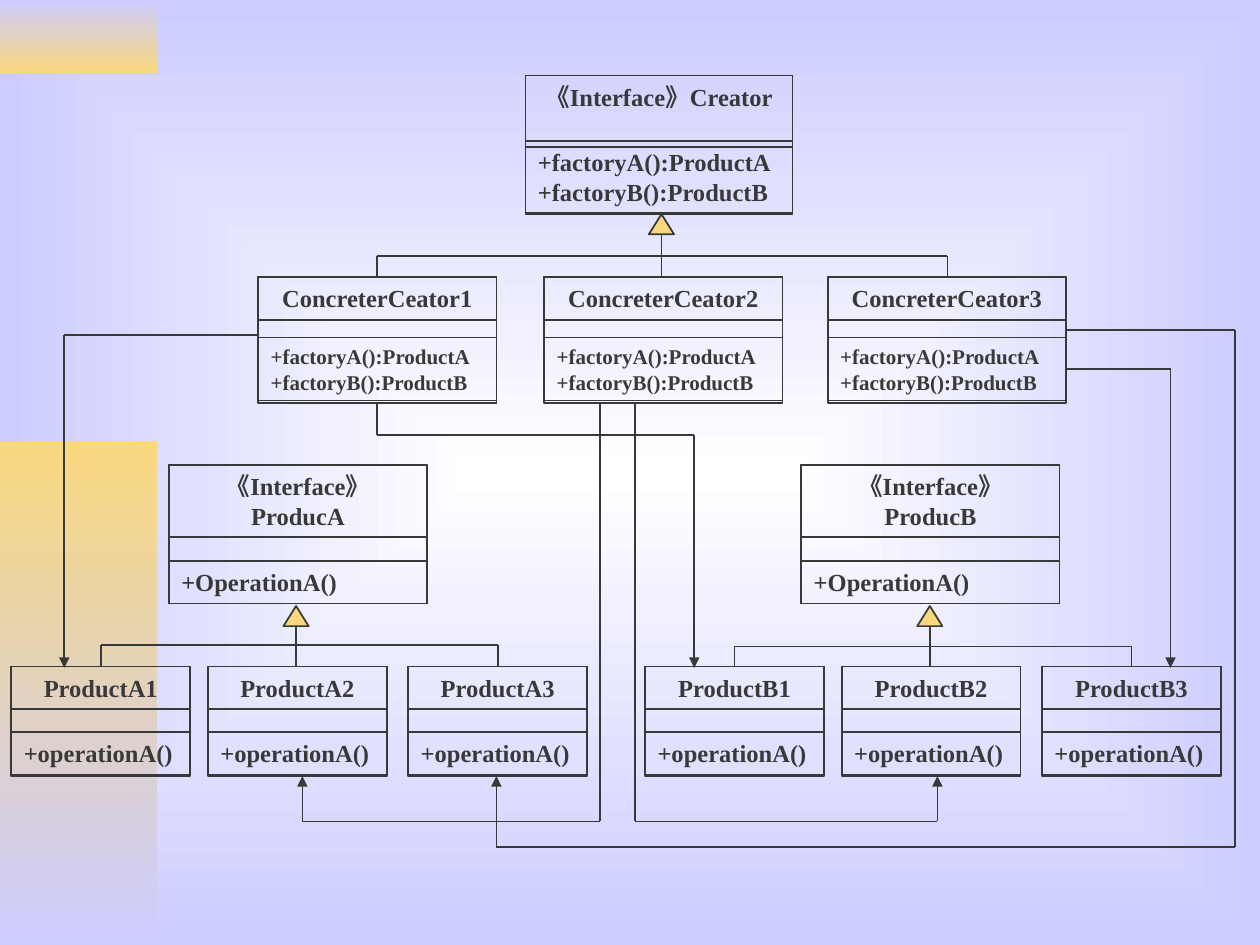
"""Build the abstract factory class diagram slide."""
import dataclasses

import pptx
import pptx.dml.color
import pptx.enum.shapes
import pptx.enum.text
import pptx.oxml
import pptx.oxml.ns
import pptx.util

Inches = pptx.util.Inches
SHAPES = pptx.enum.shapes.MSO_SHAPE
ALIGN = pptx.enum.text.PP_ALIGN
NS = pptx.oxml.ns.nsdecls("a")


@dataclasses.dataclass(frozen=True)
class Theme:
    ink: pptx.dml.color.RGBColor = pptx.dml.color.RGBColor.from_string("393939")
    gold: pptx.dml.color.RGBColor = pptx.dml.color.RGBColor.from_string("F9D87E")
    lilac: pptx.dml.color.RGBColor = pptx.dml.color.RGBColor.from_string("CCCCFF")
    white: pptx.dml.color.RGBColor = pptx.dml.color.RGBColor.from_string("FFFFFF")
    font: str = "Times New Roman"
    normal: int = 14
    small: int = 12
    line: int = 1


theme = Theme()


def add_box(left, top, width, height, text="", size=theme.normal, align=ALIGN.LEFT, kind=SHAPES.RECTANGLE):
    box = slide.shapes.add_shape(kind, Inches(left), Inches(top), Inches(width), Inches(height))
    box.shadow.inherit = False
    box.fill.background()
    box.line.color.rgb = theme.ink
    box.line.width = pptx.util.Pt(theme.line)
    if text:
        frame = box.text_frame
        frame.word_wrap = True
        frame.auto_size = pptx.enum.text.MSO_AUTO_SIZE.SHAPE_TO_FIT_TEXT
        frame.vertical_anchor = pptx.enum.text.MSO_ANCHOR.TOP
        frame.paragraphs[0].alignment = align
        run = frame.paragraphs[0].add_run()
        run.text = text
        run.font.name = theme.font
        run.font.size = pptx.util.Pt(size)
        run.font.bold = True
        run.font.color.rgb = theme.ink
    return box


def add_route(*points, arrow=False):
    for start, end in zip(points, points[1:]):
        segment = slide.shapes.add_connector(
            pptx.enum.shapes.MSO_CONNECTOR.STRAIGHT, *map(Inches, start + end))
        segment.line.color.rgb = theme.ink
        segment.line.width = pptx.util.Pt(theme.line)
        properties = segment._element.spPr
        properties.append(pptx.oxml.parse_xml(f"<a:effectLst {NS}/>"))
        if arrow and end == points[-1]:
            properties.ln.append(pptx.oxml.parse_xml(f'<a:tailEnd {NS} type="triangle"/>'))


presentation = pptx.Presentation()
presentation.slide_width = Inches(10)
presentation.slide_height = Inches(7.5)
slide = presentation.slides.add_slide(presentation.slide_layouts[6])

backdrop = slide.background.fill
backdrop.gradient()
for stop, color in zip(backdrop.gradient_stops, (theme.white, theme.lilac)):
    stop.color.rgb = color
direction = slide._element.find(".//" + pptx.oxml.ns.qn("a:lin"))
direction.getparent().replace(direction, pptx.oxml.parse_xml(
    f'<a:path {NS} path="rect"><a:fillToRect l="50000" t="50000" r="50000" b="50000"/></a:path>'))

for top, height, colors in ((0, 0.58, (theme.lilac, theme.gold)), (3.5, 4, (theme.gold, theme.lilac))):
    band = add_box(0, top, 1.25, height)
    band.line.fill.background()
    band.fill.gradient()
    band.fill.gradient_angle = 270
    for stop, color in zip(band.fill.gradient_stops, colors):
        stop.color.rgb = color

factories = "+factoryA():ProductA +factoryB():ProductB"
classes = [(4.17, 0.6, 2.12, 1.1, "《Interface》Creator", 0.57, factories, 0.52, 0.57, theme.normal)]
for number, left in enumerate((2.05, 4.32, 6.57), 1):
    classes.append((left, 2.2, 1.89, 1, f"ConcreterCeator{number}", 0.34, factories, 0.48, 0.5, theme.small))
for family, left, product_lefts in (("A", 1.34, (0.09, 1.65, 3.24)), ("B", 6.36, (5.12, 6.68, 8.27))):
    classes.append((left, 3.69, 2.05, 1.1, f"《Interface》Produc{family}", 0.57,
                    "+OperationA()", 0.76, 0.34, theme.normal))
    for number, product_left in enumerate(product_lefts, 1):
        classes.append((product_left, 5.29, 1.42, 0.87, f"Product{family}{number}", 0.34,
                        "+operationA()", 0.52, 0.34, theme.normal))

for left, top, width, height, title, title_height, methods, offset, methods_height, size in classes:
    add_box(left, top, width, height)
    add_box(left, top, width, title_height, title, align=ALIGN.CENTER)
    add_box(left, top + offset, width, methods_height, methods, size)

inheritance = (
    (5.25, 1.7, 2.03, 2.19, (2.99, 7.52)),
    (2.35, 4.81, 5.12, 5.29, (0.8, 3.95)),
    (7.38, 4.81, 5.13, 5.29, (5.83, 8.98)),
)
for trunk, top, bus, child_top, (first, last) in inheritance:
    triangle = add_box(trunk - 0.1, top, 0.2, 0.16, kind=SHAPES.FLOWCHART_EXTRACT)
    triangle.fill.solid()
    triangle.fill.fore_color.rgb = theme.gold
    add_route((trunk, top + 0.16), (trunk, child_top))
    add_route((first, child_top), (first, bus), (last, bus), (last, child_top))

creations = (
    ((2.05, 2.66), (0.51, 2.66), (0.51, 5.3)),
    ((2.99, 3.21), (2.99, 3.45), (5.51, 3.45), (5.51, 5.3)),
    ((4.76, 3.21), (4.76, 6.52), (2.4, 6.52), (2.4, 6.16)),
    ((5.04, 3.21), (5.04, 6.52), (7.44, 6.52), (7.44, 6.16)),
    ((8.46, 2.93), (9.29, 2.93), (9.29, 5.3)),
    ((8.46, 2.62), (9.8, 2.62), (9.8, 6.72), (3.94, 6.72), (3.94, 6.16)),
)
for creation in creations:
    add_route(*creation, arrow=True)

presentation.save("out.pptx")
